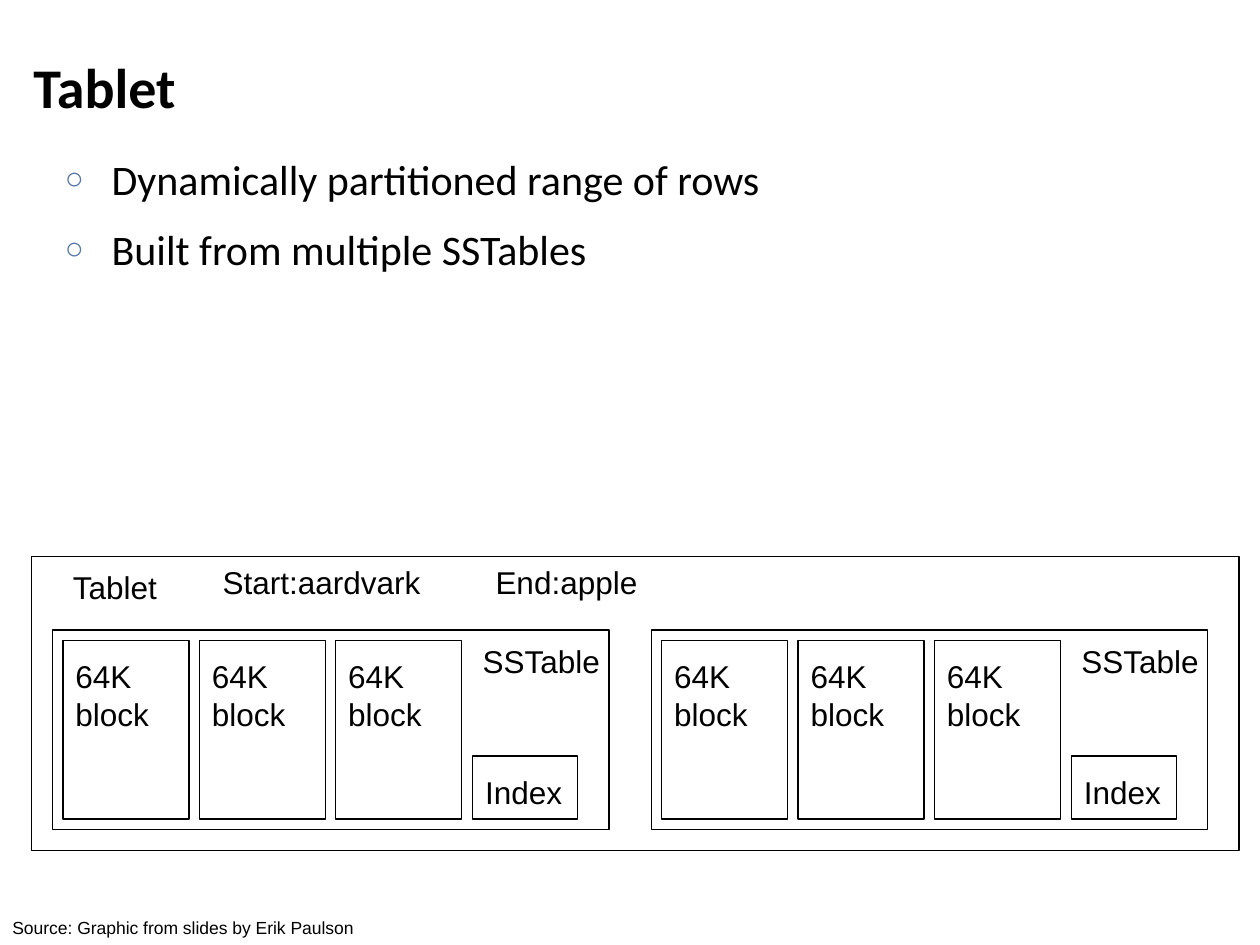
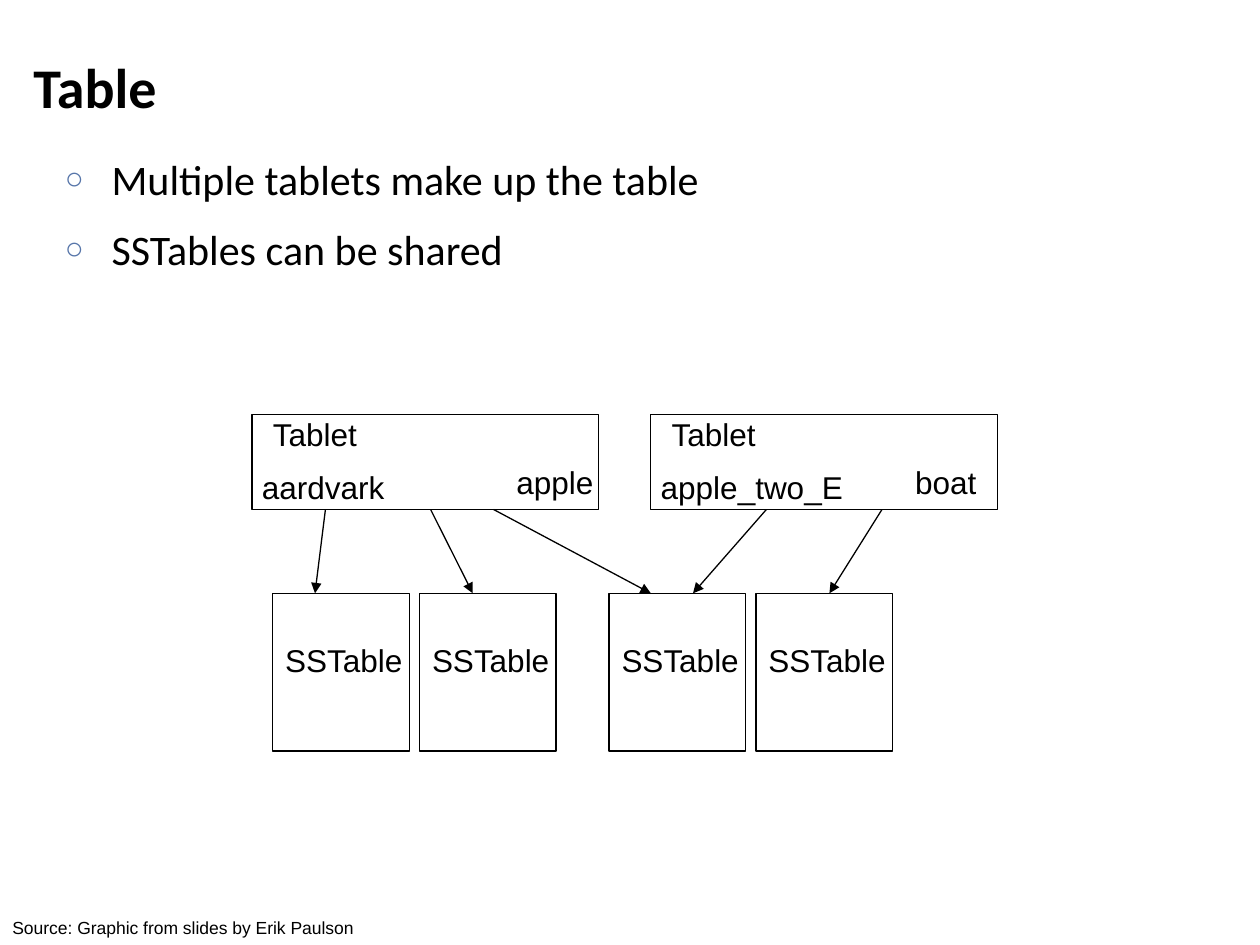
from pptx import Presentation
from pptx.dml.color import RGBColor
from pptx.enum.shapes import MSO_CONNECTOR, MSO_SHAPE
from pptx.enum.text import MSO_ANCHOR, PP_ALIGN
from pptx.oxml.ns import qn
from pptx.util import Cm, Pt
from lxml import etree

RECT = MSO_SHAPE.RECTANGLE
LINE = MSO_CONNECTOR.STRAIGHT
TOP, MIDDLE = MSO_ANCHOR.TOP, MSO_ANCHOR.MIDDLE
LEFT = PP_ALIGN.LEFT

INK = {"text": "000000", "line": "000000", "bullet": "5675A9"}
HEAD, BODY = "Calibri", "Arial"
GAP = 0.21  # inner margin of an SSTable, in cm


def color(name):
    return RGBColor.from_string(INK[name])


def style(para, size, face=BODY, bold=False):
    para.alignment = LEFT
    font = para.font
    font.name, font.size, font.bold = face, Pt(size), bold
    font.color.rgb = color("text")


def pen(line):
    line.color.rgb = color("line")
    line.width = Pt(0.75)


def label(slide, text, x, y, w, h=1.02, size=18, wrap=False):
    box = slide.shapes.add_textbox(Cm(x), Cm(y), Cm(w), Cm(h))
    frame = box.text_frame
    frame.word_wrap = wrap
    frame.text = text
    style(frame.paragraphs[0], size)


def block(slide, x, y, w, h, text="", inset=0.0):
    """Outlined box whose text starts at the given inset from the top."""
    box = slide.shapes.add_shape(RECT, Cm(x), Cm(y), Cm(w), Cm(h))
    box.shadow.inherit = False
    box.fill.background()
    pen(box.line)
    if text:
        frame = box.text_frame
        frame.word_wrap = True
        frame.vertical_anchor = TOP
        frame.margin_left, frame.margin_right = Cm(0.25), 0
        frame.margin_top, frame.margin_bottom = Cm(inset), 0
        frame.text = text
        style(frame.paragraphs[0], 18)


def arrow(slide, x1, y1, x2, y2):
    link = slide.shapes.add_connector(LINE, Cm(x1), Cm(y1), Cm(x2), Cm(y2))
    pen(link.line)
    props = link.line._get_or_add_ln()
    etree.SubElement(props, qn("a:tailEnd"), type="triangle")
    etree.SubElement(link._element.spPr, qn("a:effectLst"))


def bullet(para):
    props = para._p.get_or_add_pPr()
    props.set("marL", str(Cm(0.94)))
    props.set("indent", str(-Cm(0.94)))
    tint = etree.SubElement(props, qn("a:buClr"))
    etree.SubElement(tint, qn("a:srgbClr"), val=INK["bullet"])
    etree.SubElement(props, qn("a:buSzPct"), val="75000")
    etree.SubElement(props, qn("a:buFont"), typeface=BODY)
    etree.SubElement(props, qn("a:buChar"), char="○")


def page(deck, title, points):
    """Slide with the shared title, bullets and source line."""
    slide = deck.slides.add_slide(deck.slide_layouts[5])
    head = slide.shapes.title
    head.left, head.top = Cm(0.42), Cm(0.32)
    head.width, head.height = Cm(24.13), Cm(2.84)
    head.text_frame.text = title
    head.text_frame.vertical_anchor = MIDDLE
    style(head.text_frame.paragraphs[0], 32, HEAD, True)

    # Bullets
    box = slide.shapes.add_textbox(Cm(1.06), Cm(2.96), Cm(23.5), Cm(14.18))
    frame = box.text_frame
    frame.word_wrap = True
    for i, point in enumerate(points):
        para = frame.add_paragraph() if i else frame.paragraphs[0]
        para.text = point
        bullet(para)
        para.space_before = Pt(0)
        para.space_after = Pt(11.3)
        style(para, 24, HEAD)

    # Source line
    label(slide, "Source: Graphic from slides by Erik Paulson",
          0, 18.36, 9.1, 0.68, 10, True)
    return slide


def store(slide, x, y):
    """SSTable with three data blocks and an index."""
    block(slide, x, y, 11.22, 4.02)
    for i in range(3):
        block(slide, x + GAP + 2.75 * i, y + GAP, 2.54, 3.6, "64K block", 0.34)
    block(slide, x + 8.47, y + 2.54, 2.12, 1.27, "Index", 0.34)
    label(slide, "SSTable", x + 8.42, y + 0.11, 2.95)


def range_box(slide, x, y):
    """Tablet with its row range and two SSTables."""
    block(slide, x, y, 24.34, 5.93)
    label(slide, "Tablet", x + 0.58, y + 0.11, 2.28)
    label(slide, "Start:aardvark", x + 3.6, y, 5.08, wrap=True)
    label(slide, "End:apple", x + 9.1, y, 3.81, wrap=True)
    for i in range(2):
        store(slide, x + 0.42 + 12.07 * i, y + 1.48)


def tablet(slide, x, y, first, last):
    """Tablet showing its first and last key, each a (text, width) pair."""
    block(slide, x, y, 6.99, 1.91)
    label(slide, "Tablet", x + 0.17, y - 0.11, 2.28)
    label(slide, first[0], x - 0.05, y + 0.95, first[1])
    label(slide, last[0], x + 5.08, y + 0.85, last[1])


def shared(slide, x, y):
    """Two tablets pointing at four SSTables, one of them shared."""
    tablet(slide, x, y, ("aardvark", 2.97), ("apple", 2.06))
    tablet(slide, x + 8.04, y, ("apple_two_E", 4.19), ("boat", 1.75))
    low = y + 3.6
    for pair in (0.42, 7.2):
        for i in range(2):
            block(slide, x + pair + 2.96 * i, low, 2.75, 3.18, "SSTable", 0.97)
    for start, end in ((1.48, 1.27), (3.6, 4.45), (4.87, 8.04),
                       (10.37, 8.89), (12.7, 11.64)):
        arrow(slide, x + start, y + 1.91, x + end, low)


def main():
    deck = Presentation()
    deck.slide_width, deck.slide_height = Cm(25.4), Cm(19.05)
    slide = page(deck, "Tablet", ["Dynamically partitioned range of rows",
                                  "Built from multiple SSTables"])
    range_box(slide, 0.64, 11.22)
    slide = page(deck, "Table", ["Multiple tablets make up the table",
                                 "SSTables can be shared"])
    shared(slide, 5.08, 8.36)
    deck.save("out.pptx")


if __name__ == "__main__":
    main()
